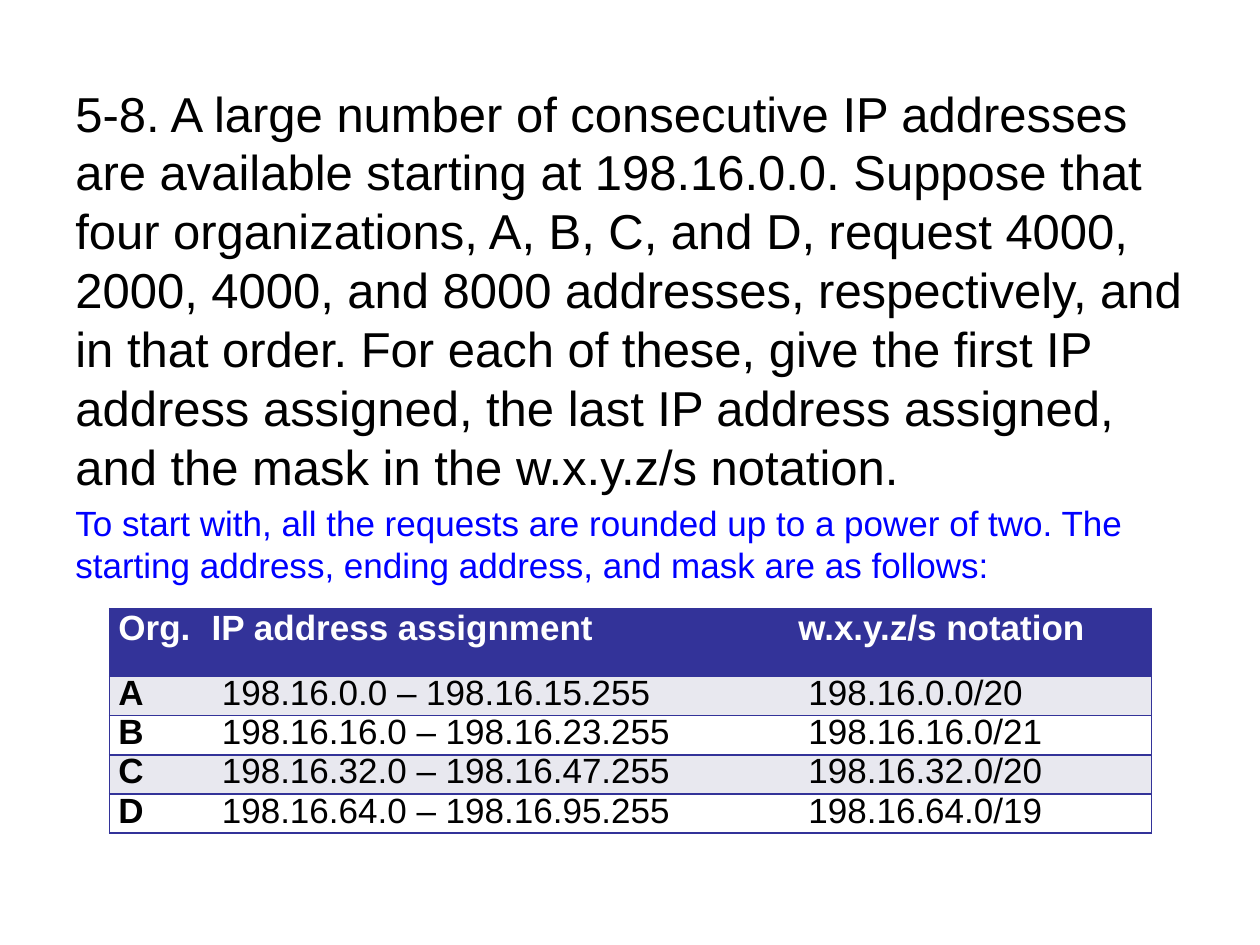
from pptx import Presentation
from pptx.dml.color import RGBColor
from pptx.enum.text import MSO_ANCHOR
from pptx.oxml import parse_xml
from pptx.oxml.ns import nsdecls, qn
from pptx.util import Inches, Pt

FONT = "Arial"
NAVY, BAND, WHITE, BLACK, BLUE = "333399", "E8E8EF", "FFFFFF", "000000", "0000FF"
PLAIN_STYLE = "{2D5ABB26-0587-4C30-8999-92F81FD0307C}"

QUESTION = (
    "5-8. A large number of consecutive IP addresses are available starting at "
    "198.16.0.0. Suppose that four organizations, A, B, C, and D, request 4000, "
    "2000, 4000, and 8000 addresses, respectively, and in that order. For each of "
    "these, give the first IP address assigned, the last IP address assigned, and "
    "the mask in the w.x.y.z/s notation."
)
ANSWER = (
    "To start with, all the requests are rounded up to a power of two. The "
    "starting address, ending address, and mask are as follows:"
)
ROWS = [
    ("Org.", "IP address assignment", "w.x.y.z/s notation"),
    ("A", "198.16.0.0 – 198.16.15.255", "198.16.0.0/20"),
    ("B", "198.16.16.0 – 198.16.23.255", "198.16.16.0/21"),
    ("C", "198.16.32.0 – 198.16.47.255", "198.16.32.0/20"),
    ("D", "198.16.64.0 – 198.16.95.255", "198.16.64.0/19"),
]
COL_WIDTHS = (0.74, 4.65, 2.87)
HEADER_HEIGHT, ROW_HEIGHT = 0.54, 0.31


def rgb(value):
    return RGBColor.from_string(value)


def set_font(p, size, color, bold=False):
    p.font.name = FONT
    p.font.size = Pt(size)
    p.font.bold = bold
    p.font.color.rgb = rgb(color)


def add_exercise(slide, left, top, width, height):
    """Place the question and the lead-in to its answer."""
    box = slide.shapes.add_textbox(*map(Inches, (left, top, width, height)))
    tf = box.text_frame
    tf.word_wrap = True
    tf.margin_top = Inches(0.06)
    tf.text = QUESTION
    question, answer = tf.paragraphs[0], tf.add_paragraph()
    answer.text = ANSWER
    set_font(question, 28, BLACK)
    set_font(answer, 20, BLUE)
    answer.space_before = Pt(4)


def add_borders(cell, sides):
    tc_pr = cell._tc.get_or_add_tcPr()
    for i, side in enumerate(sides):
        tc_pr.insert(i, parse_xml(
            f'<a:ln{side} {nsdecls("a")} w="12700" cap="flat" cmpd="sng" algn="ctr">'
            f'<a:solidFill><a:srgbClr val="{NAVY}"/></a:solidFill>'
            f'<a:prstDash val="solid"/></a:ln{side}>'))


def style_cell(cell, text, row, col):
    header = row == 0
    cell.text = text
    cell.vertical_anchor = MSO_ANCHOR.TOP
    indent = 0.08 if not header and col > 0 else 0
    cell.margin_left = Inches(0.07 + indent)
    cell.margin_right = Inches(0.07)
    cell.margin_top = cell.margin_bottom = 0
    cell.fill.solid()
    cell.fill.fore_color.rgb = rgb(NAVY if header else BAND if row % 2 else WHITE)
    p = cell.text_frame.paragraphs[0]
    set_font(p, 20, WHITE if header else BLACK, bold=header or col == 0)
    if not header:
        p.line_spacing = 0.93
    outer = {0: "L", len(COL_WIDTHS) - 1: "R"}.get(col, "")
    add_borders(cell, outer + "TB")


def add_address_table(slide, left, top, width):
    heights = [HEADER_HEIGHT] + [ROW_HEIGHT] * (len(ROWS) - 1)
    frame = slide.shapes.add_table(
        len(ROWS), len(COL_WIDTHS),
        *map(Inches, (left, top, width, sum(heights))))
    table = frame.table
    table._tbl.tblPr.find(qn("a:tableStyleId")).text = PLAIN_STYLE
    for column, share in zip(table.columns, COL_WIDTHS):
        column.width = Inches(width * share / sum(COL_WIDTHS))
    for r, (height, texts) in enumerate(zip(heights, ROWS)):
        table.rows[r].height = Inches(height)
        for c, text in enumerate(texts):
            style_cell(table.cell(r, c), text, r, c)


def main():
    prs = Presentation()
    prs.slide_width, prs.slide_height = Inches(10), Inches(7.5)
    slide = prs.slides.add_slide(prs.slide_layouts[6])
    add_exercise(slide, 0.5, 0.6, 9, 6.06)
    add_address_table(slide, 0.87, 4.83, 8.27)
    prs.save("out.pptx")


if __name__ == "__main__":
    main()
